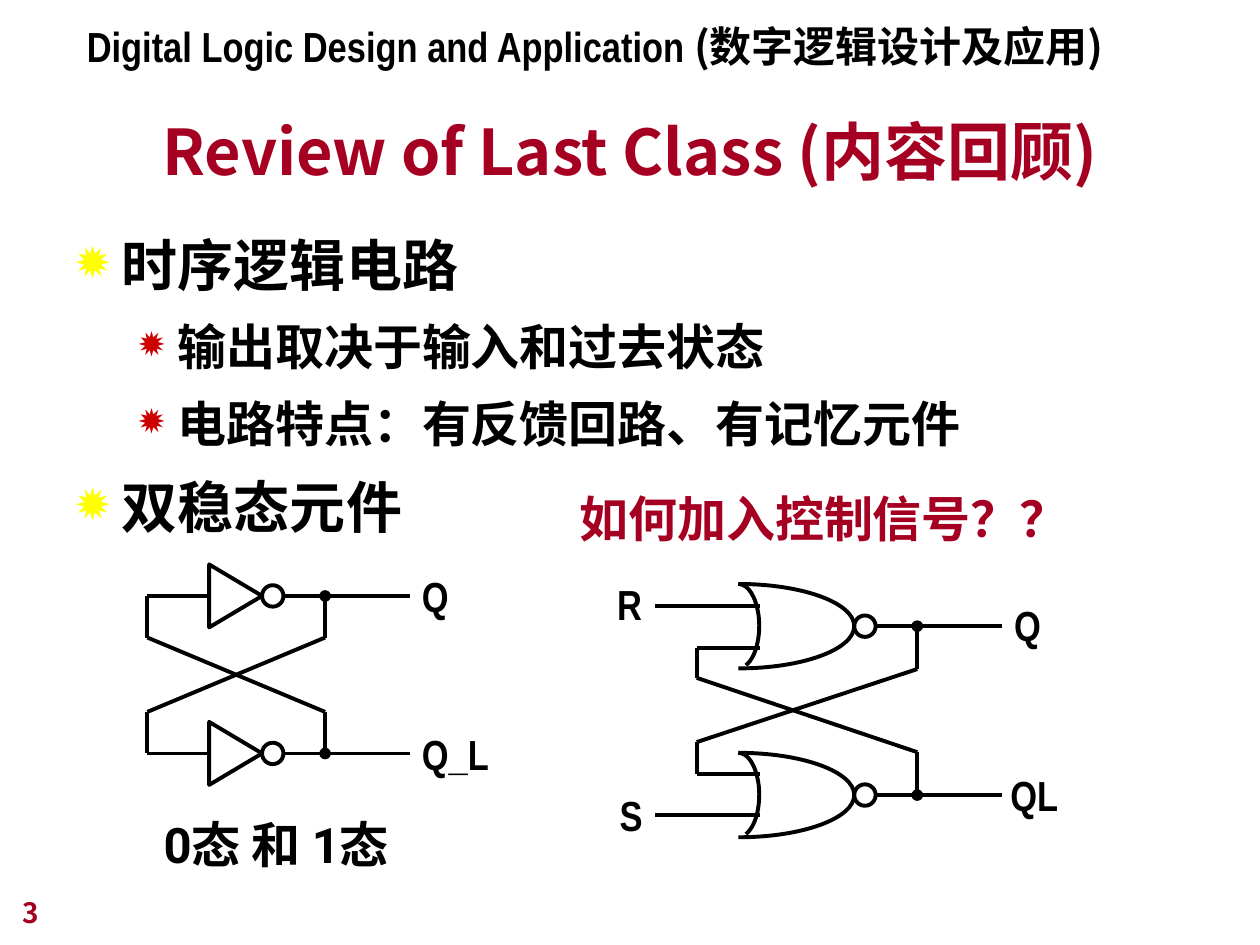
from dataclasses import dataclass

from lxml.etree import SubElement
from pptx import Presentation
from pptx.dml.color import RGBColor
from pptx.enum.shapes import MSO_CONNECTOR, MSO_SHAPE
from pptx.enum.text import MSO_ANCHOR, MSO_AUTO_SIZE, PP_ALIGN
from pptx.oxml.ns import qn
from pptx.util import Inches, Pt


@dataclass(frozen=True)
class Theme:
    ink: str = "000000"
    accent: str = "A50021"
    topic_bullet: str = "FFFF00"
    detail_bullet: str = "CC0000"
    title: int = 36
    topic: int = 32
    detail: int = 28
    label: int = 24
    page: int = 16
    stroke: float = 2.25
    body_font: str = "Arial"
    label_font: str = "Arial Narrow"
    state_font: str = "Roboto"
    cjk_font: str = "Noto Sans CJK JP"


THEME = Theme()
BUBBLE = 0.17
OUTPUT_LENGTH = 1
GATE_HALF = 0.335

OUTLINE = [
    (0, "时序逻辑电路"),
    (1, "输出取决于输入和过去状态"),
    (1, "电路特点：有反馈回路、有记忆元件"),
    (0, "双稳态元件"),
]
# size, bullet colour, bullet percent, left margin, hanging indent, space before
OUTLINE_LEVELS = [
    (THEME.topic, THEME.topic_bullet, 104, 0.37, 0.37, 8),
    (THEME.detail, THEME.detail_bullet, 91, 0.81, 0.31, 7),
]


def set_format(target, values):
    for attribute, value in values.items():
        setattr(target, attribute, value)


def add_run(paragraph, text, size, font, color=THEME.ink):
    run = paragraph.add_run()
    run.text = text
    set_format(run.font, {"size": Pt(size), "bold": True, "name": font})
    run.font.color.rgb = RGBColor.from_string(color)
    SubElement(run.font._element, qn("a:ea")).set("typeface", THEME.cjk_font)


def add_text_frame(shapes, place, **frame_format):
    frame = shapes.add_textbox(*map(Inches, place)).text_frame
    set_format(frame, {"word_wrap": True, **frame_format})
    return frame


def add_label(shapes, text, place, size=THEME.label, font=THEME.label_font,
              color=THEME.ink):
    """Add a single line of text that does not wrap."""
    frame = add_text_frame(shapes, place, word_wrap=False,
                           auto_size=MSO_AUTO_SIZE.SHAPE_TO_FIT_TEXT)
    add_run(frame.paragraphs[0], text, size, font, color)
    return frame


def add_bullet(paragraph, color, percent):
    properties = paragraph._p.get_or_add_pPr()
    bullet_color = SubElement(properties, qn("a:buClr"))
    SubElement(bullet_color, qn("a:srgbClr")).set("val", color)
    SubElement(properties, qn("a:buSzPct")).set("val", str(percent * 1000))
    SubElement(properties, qn("a:buChar")).set("char", "✹")


def add_outline(shapes):
    frame = add_text_frame(shapes, (0.5, 1.73, 9, 5.33))
    for index, (level, text) in enumerate(OUTLINE):
        size, color, percent, margin, hanging, before = OUTLINE_LEVELS[level]
        paragraph = frame.add_paragraph() if index else frame.paragraphs[0]
        add_bullet(paragraph, color, percent)
        properties = paragraph._p.get_or_add_pPr()
        properties.set("marL", str(Inches(margin)))
        properties.set("indent", str(-Inches(hanging)))
        set_format(paragraph, {"level": level, "line_spacing": 1.1,
                               "space_before": Pt(before if index else 0)})
        add_run(paragraph, text, size, THEME.body_font)


def set_stroke(part):
    part.line.color.rgb = RGBColor.from_string(THEME.ink)
    part.line.width = Pt(THEME.stroke)


def style_symbol(symbol):
    symbol.shadow.inherit = False
    symbol.fill.background()
    set_stroke(symbol)


def add_wire(shapes, start, end, junction=False):
    """Draw a straight wire, with a dot at its start if it is a junction."""
    wire = shapes.add_connector(MSO_CONNECTOR.STRAIGHT,
                                *map(Inches, (*start, *end)))
    set_stroke(wire)
    if junction:
        SubElement(wire.line._get_or_add_ln(), qn("a:headEnd")).set("type", "oval")
    SubElement(wire._element.spPr, qn("a:effectLst"))


def add_bubble(shapes, left, middle):
    style_symbol(shapes.add_shape(
        MSO_SHAPE.OVAL, Inches(left), Inches(middle - BUBBLE / 2),
        Inches(BUBBLE), Inches(BUBBLE)))


def add_inverter(shapes, tip, middle):
    base, height = 0.5, 0.42
    triangle = shapes.add_shape(
        MSO_SHAPE.ISOSCELES_TRIANGLE,
        Inches(tip - height / 2 - base / 2), Inches(middle - height / 2),
        Inches(base), Inches(height))
    triangle.rotation = 90
    style_symbol(triangle)
    add_bubble(shapes, tip, middle)


def add_curve(shapes, frame, points):
    """Draw cubic curves through a start and triples of control points.

    The frame gives two opposite corners of the ellipse the curve belongs to.
    """
    first, last, start, *controls = [
        tuple(map(Inches, point)) for point in (*frame, *points)]
    builder = shapes.build_freeform(*first)
    builder.move_to(*last)
    builder.move_to(*start)
    builder.add_line_segments(controls, close=False)
    curve = builder.convert_to_shape()
    outline = next(curve._element.iter(qn("a:path")))
    for corner in outline.findall(qn("a:moveTo"))[:2]:
        outline.remove(corner)
    lines = outline.findall(qn("a:lnTo"))
    for index, line in enumerate(lines):
        if index % 3 == 0:
            cubic = SubElement(outline, qn("a:cubicBezTo"))
        cubic.append(line[0])
        outline.remove(line)
    style_symbol(curve)


def add_nor_gate(shapes, tip, middle):
    def at(*offsets):
        return [(tip + dx, middle + dy) for dx, dy in offsets]

    for side in (-GATE_HALF, GATE_HALF):
        add_curve(shapes, at((-1.83, -GATE_HALF), (0, GATE_HALF)),
                  at((-0.92, side), (-0.41, side), (0, side * 0.55), (0, 0)))
    add_curve(shapes, at((-1.08, -GATE_HALF), (-0.75, GATE_HALF)),
              at((-0.92, -GATE_HALF), (-0.84, -GATE_HALF), (-0.78, -0.23),
                 (-0.76, -0.09), (-0.74, 0.05), (-0.77, 0.24), (-0.86, 0.31)))
    add_bubble(shapes, tip, middle)


def add_latch(shapes, add_gate, tip, feedback_x, gate_x, node_x,
              inputs, input_bends, outputs, output_bends):
    """Draw two gates, each fed back to the input of the other."""
    output_x = tip + BUBBLE
    for row in (0, 1):
        feedback, bend = (feedback_x, inputs[row]), (feedback_x, input_bends[row])
        node = (node_x, outputs[row])
        add_gate(shapes, tip, outputs[row])
        add_wire(shapes, feedback, (gate_x, inputs[row]))
        add_wire(shapes, (output_x, outputs[row]),
                 (output_x + OUTPUT_LENGTH, outputs[row]))
        add_wire(shapes, node, (node_x, output_bends[row]), junction=True)
        add_wire(shapes, feedback, bend)
        add_wire(shapes, bend, (node_x, output_bends[1 - row]))


def add_bistable(slide):
    shapes = slide.shapes.add_group_shape().shapes
    rows, bends = (4.73, 5.98), (5.06, 5.65)
    add_latch(shapes, add_inverter, 2.08, 1.17, 1.67, 2.58,
              rows, bends, rows, bends)
    add_label(shapes, "Q", (3.25, 4.48, 0.41, 0.5))
    add_label(shapes, "Q_L", (3.25, 5.73, 0.73, 0.5))


def add_sr_latch(slide):
    shapes = slide.shapes.add_group_shape().shapes
    add_latch(shapes, add_nor_gate, 6.78, 5.53, 6.03, 7.28,
              (5.14, 6.14), (5.38, 5.89), (4.97, 6.31), (5.31, 5.97))
    for control_y in (4.81, 6.47):
        add_wire(shapes, (6.03, control_y), (5.2, control_y))
    add_label(shapes, "Q", (7.95, 4.71, 0.41, 0.5))
    add_label(shapes, "QL", (7.92, 6.06, 0.58, 0.5))
    add_label(shapes, "R", (4.8, 4.54, 0.39, 0.5))
    add_label(shapes, "S", (4.82, 6.22, 0.38, 0.5))


def add_headings(shapes):
    course = add_text_frame(shapes, (0.59, 0.11, 8.41, 0.5)).paragraphs[0]
    add_run(course, "Digital Logic Design and Application ", THEME.label,
            THEME.label_font)
    add_run(course, "(数字逻辑设计及应用)", THEME.label, THEME.cjk_font)
    title = add_text_frame(shapes, (0.75, 0.71, 8.5, 0.83),
                           vertical_anchor=MSO_ANCHOR.BOTTOM).paragraphs[0]
    title.alignment = PP_ALIGN.CENTER
    add_run(title, "Review of Last Class (内容回顾)", THEME.title,
            THEME.cjk_font, THEME.accent)


def main():
    deck = Presentation()
    set_format(deck, {"slide_width": Inches(10), "slide_height": Inches(7.5)})
    slide = deck.slides.add_slide(deck.slide_layouts[6])
    add_outline(slide.shapes)
    add_bistable(slide)
    states = add_label(slide.shapes, "0态 和 1态", (1.2, 6.32, 2.49, 0.66),
                       THEME.detail, THEME.state_font)
    states.paragraphs[0].line_spacing = 1.2
    add_label(slide.shapes, "如何加入控制信号？？", (4.5, 3.83, 4.08, 0.57),
              THEME.detail, color=THEME.accent)
    add_sr_latch(slide)
    add_headings(slide.shapes)
    page = add_text_frame(slide.shapes, (0.08, 6.92, 2.08, 0.5),
                          vertical_anchor=MSO_ANCHOR.BOTTOM)
    add_run(page.paragraphs[0], "3", THEME.page, THEME.cjk_font, THEME.accent)
    deck.save("out.pptx")


if __name__ == "__main__":
    main()
